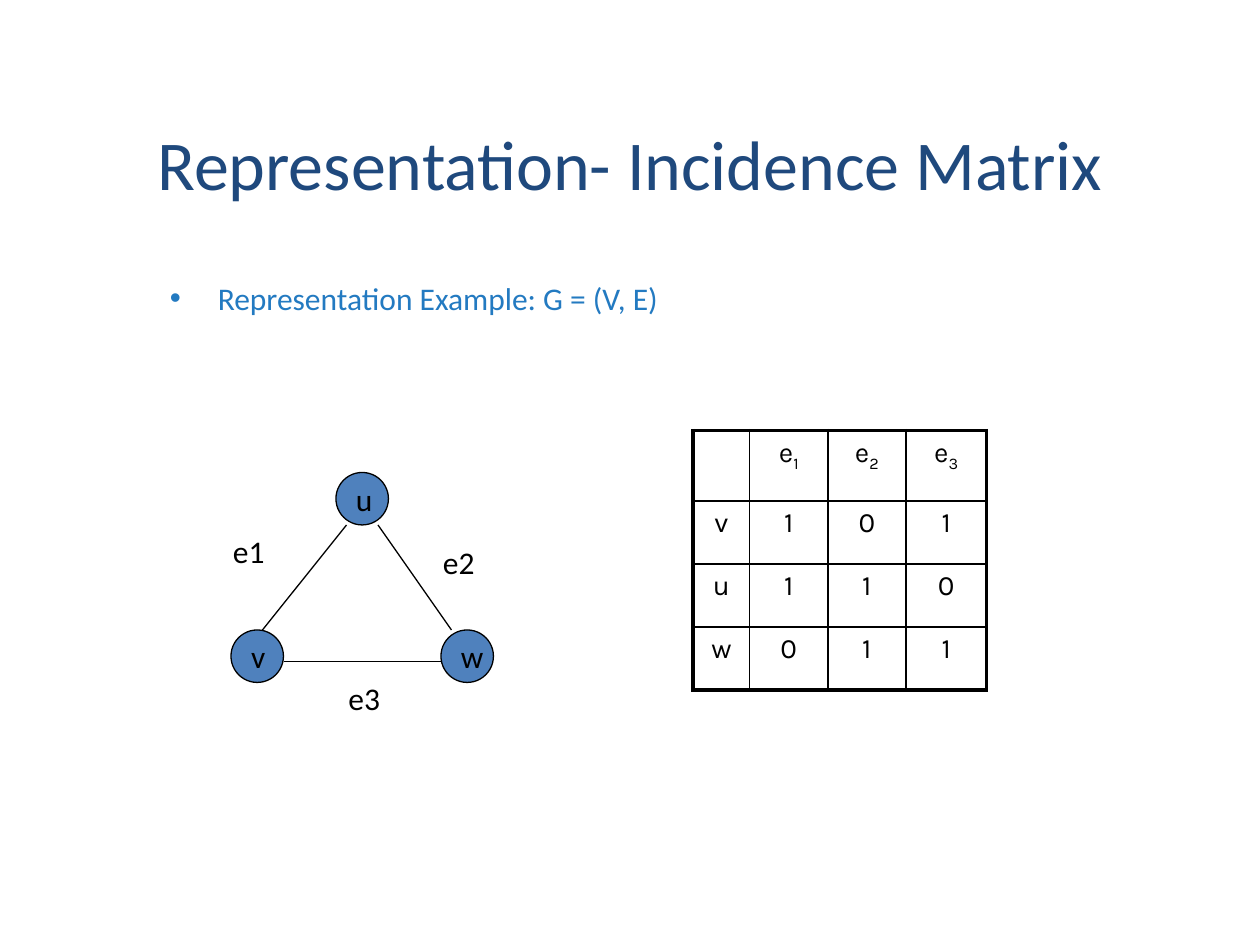
import pptx
import pptx.util
import pptx.dml.color
import pptx.enum.shapes
import pptx.enum.text
import pptx.oxml
import pptx.oxml.ns
import lxml.etree

Inches, Pt = pptx.util.Inches, pptx.util.Pt
RGBColor = pptx.dml.color.RGBColor
Shape = pptx.enum.shapes.MSO_SHAPE
Anchor = pptx.enum.text.MSO_ANCHOR
Align = pptx.enum.text.PP_ALIGN
qn = pptx.oxml.ns.qn

# Content; places are (column, row) on a grid of twelfths of an inch
TITLE = "Representation- Incidence Matrix"
BULLET = "Representation Example: G = (V, E)"
VERTICES = [("v", 22, 60), ("w", 42, 60), ("u", 32, 45)]
EDGES = [((36, 50), (43, 60)), ((27, 63), (42, 63)), ((33, 50), (25, 60))]
EDGE_LABELS = [("e1", 21, 51), ("e3", 32, 65), ("e2", 41, 52)]
MATRIX = [
    ["", "e1", "e2", "e3"],
    ["v", "1", "0", "1"],
    ["u", "1", "1", "0"],
    ["w", "0", "1", "1"],
]
COLUMN_WIDTHS = [0.45, 0.62, 0.62, 0.64]
ROW_HEIGHTS = [0.56, 0.5, 0.5, 0.5]

BLACK = RGBColor(0, 0, 0)
WHITE = RGBColor(255, 255, 255)
NAVY = RGBColor(0x1F, 0x49, 0x7D)
BLUE = RGBColor(0x23, 0x7A, 0xC1)
NODE_FILL = RGBColor(0x4F, 0x81, 0xBD)


def grid(units):
    return Inches(units / 12)


def style(font, size, color, name="Calibri"):
    font.size, font.name, font.color.rgb = Pt(size), name, color


def add_text(page, place, text, size, color):
    box = page.shapes.add_textbox(*map(grid, place))
    box.text_frame.word_wrap = True
    para = box.text_frame.paragraphs[0]
    para.text = text
    style(para.runs[0].font, size, color)
    return box


def add_label(page, kind, place, text, fill, line):
    shape = page.shapes.add_shape(kind, *map(grid, place))
    shape.shadow.inherit = False
    shape.fill.solid()
    shape.fill.fore_color.rgb = fill
    shape.line.color.rgb = line
    shape.line.width = Pt(0.75)
    frame = shape.text_frame
    frame.word_wrap = False
    frame.vertical_anchor = Anchor.MIDDLE
    para = frame.paragraphs[0]
    para.text = text
    para.alignment = Align.LEFT
    style(para.runs[0].font, 18, BLACK)


def add_border(cell, side, width):
    line = lxml.etree.SubElement(
        cell._tc.get_or_add_tcPr(), qn("a:ln" + side), w=str(Pt(width)))
    fill = lxml.etree.SubElement(line, qn("a:solidFill"))
    lxml.etree.SubElement(fill, qn("a:srgbClr"), val=str(BLACK))


def fill_cell(cell, text):
    para = cell.text_frame.paragraphs[0]
    para.alignment = Align.CENTER
    style(para.font, 16, BLACK, "Karla")
    # A letter followed by a digit shows the digit as a subscript
    for index, character in enumerate(text):
        span = para.add_run()
        span.text = character
        style(span.font, 16, BLACK, "Karla")
        if index:
            span.font._element.set("baseline", "-25000")


def add_matrix(page, left, top):
    last_row, last_column = len(MATRIX) - 1, len(MATRIX[0]) - 1
    table = page.shapes.add_table(
        last_row + 1, last_column + 1, grid(left), grid(top),
        Inches(sum(COLUMN_WIDTHS)), Inches(sum(ROW_HEIGHTS))).table
    table.first_row = table.horz_banding = False
    for column, width in zip(table.columns, COLUMN_WIDTHS):
        column.width = Inches(width)
    for row, height in zip(table.rows, ROW_HEIGHTS):
        row.height = Inches(height)
    for r, values in enumerate(MATRIX):
        for c, text in enumerate(values):
            cell = table.cell(r, c)
            fill_cell(cell, text)
            # Thick frame outside, thin rules inside
            outer = {"L": c == 0, "R": c == last_column,
                     "T": r == 0, "B": r == last_row}
            for side, thick in outer.items():
                add_border(cell, side, 2.25 if thick else 1)
            cell.fill.background()


def main():
    deck = pptx.Presentation()
    deck.slide_width, deck.slide_height = Inches(10), Inches(7.5)
    page = deck.slides.add_slide(deck.slide_layouts[6])

    # Title
    title = add_text(page, (9, 8, 102, 15), TITLE, 40, NAVY)
    title.text_frame.vertical_anchor = Anchor.MIDDLE
    title.text_frame.paragraphs[0].alignment = Align.CENTER

    # Bullet line with a hanging indent
    body = add_text(page, (15, 26, 76.5, 8), BULLET, 18, BLUE)
    properties = body.text_frame.paragraphs[0]._p.get_or_add_pPr()
    properties.set("marL", str(Inches(0.38)))
    properties.set("indent", str(-Inches(0.38)))
    font = lxml.etree.SubElement(properties, qn("a:buFont"))
    font.set("typeface", "Arial")
    lxml.etree.SubElement(properties, qn("a:buChar")).set("char", "•")

    # Graph: vertices, edges, edge labels
    for name, x, y in VERTICES:
        add_label(page, Shape.OVAL, (x, y, 5, 5), name, NODE_FILL, BLACK)
    for start, end in EDGES:
        edge = page.shapes.add_connector(
            pptx.enum.shapes.MSO_CONNECTOR.STRAIGHT, *map(grid, start + end))
        edge.line.color.rgb = BLACK
        edge.line.width = Pt(0.75)
        lxml.etree.SubElement(edge._element.spPr, qn("a:effectLst"))
    for name, x, y in EDGE_LABELS:
        add_label(page, Shape.RECTANGLE, (x, y, 4, 3), name, WHITE, WHITE)

    # Incidence matrix
    add_matrix(page, 66, 41)
    deck.save("out.pptx")


if __name__ == "__main__":
    main()
